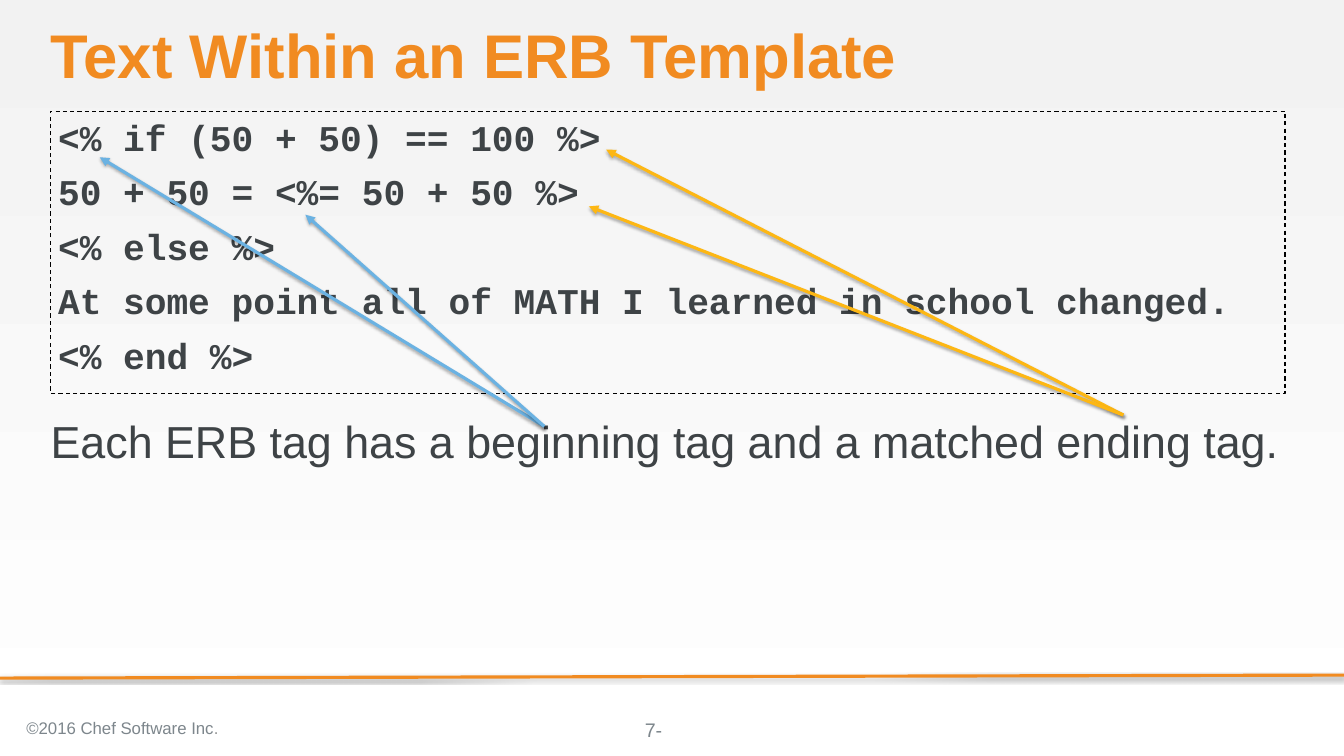
from lxml.etree import SubElement
from pptx import Presentation
from pptx.dml.color import RGBColor
from pptx.enum.dml import MSO_LINE
from pptx.enum.shapes import MSO_CONNECTOR, MSO_SHAPE
from pptx.enum.text import MSO_ANCHOR as Anchor, PP_ALIGN as Align
from pptx.oxml.ns import qn
from pptx.util import Emu, Inches, Pt

WIDTH, HEIGHT = 17.78, 10
MARGIN, CONTENT_WIDTH, BODY_HEIGHT = 0.67, 16.33, 3.73
ORANGE, BLUE, YELLOW = "F18B21", "6BB2E2", "FDB714"
INK, GREY, LIGHT_GREY = "3E4346", "7D868C", "929494"
CODE = [
    "<% if (50 + 50) == 100 %>",
    "50 + 50 = <%= 50 + 50 %>",
    "<% else %>",
    "At some point all of MATH I learned in school changed.",
    "<% end %>",
]


def color(value):
    return RGBColor.from_string(value)


def inches(values):
    return [Inches(value) for value in values]


def write(shape, lines, size, font="Arial", bold=False, inset=0.0,
          anchor=Anchor.TOP, gap=0.0):
    """Fill a shape with lines, each a list of (text, colour) runs."""
    frame = shape.text_frame
    frame.word_wrap = True
    frame.vertical_anchor = anchor
    frame.margin_left = frame.margin_right = Inches(inset)
    frame.margin_top = frame.margin_bottom = Inches(inset / 2)
    for index, runs in enumerate(lines):
        para = frame.add_paragraph() if index else frame.paragraphs[0]
        para.alignment = Align.LEFT
        para.space_before = Pt(gap if index else 0)
        for text, ink in runs:
            span = para.add_run()
            span.text = text
            span.font.name, span.font.size, span.font.bold = font, Pt(size), bold
            span.font.color.rgb = color(ink)
    return frame


def add_line(page, start, end, ink, arrow=False):
    """Draw a softly shadowed line, with an optional arrowhead at its end."""
    line = page.shapes.add_connector(MSO_CONNECTOR.STRAIGHT, *inches(start + end))
    line.line.color.rgb = color(ink)
    line.line.width = Pt(3)
    properties = line._element.spPr
    if arrow:
        SubElement(properties.find(qn("a:ln")), qn("a:tailEnd"), type="triangle")
    effects = SubElement(properties, qn("a:effectLst"))
    shadow = SubElement(effects, qn("a:outerShdw"), blurRad=str(Pt(3.1)),
                        dist=str(Pt(1.8)), dir="5400000", rotWithShape="0")
    black = SubElement(shadow, qn("a:srgbClr"), val="000000")
    SubElement(black, qn("a:alpha"), val="35000")


def paint_background(page):
    fill = page.background.fill
    fill.gradient()
    fill.gradient_angle = 270
    for stop, position, shade in zip(fill.gradient_stops, (0, 1), ("F2F2F2", "FFFFFF")):
        stop.position = position
        stop.color.rgb = color(shade)


def add_title(page, box):
    title = page.shapes.title
    title.left, title.top, title.width, title.height = inches(box)
    frame = write(title, [[("Text Within an ERB Template", ORANGE)]], 58.7, bold=True)
    frame.paragraphs[0].line_spacing = 0.9


def add_code(page, box):
    panel = page.shapes.add_shape(MSO_SHAPE.RECTANGLE, *inches(box))
    panel.shadow.inherit = False
    panel.fill.background()
    panel.line.color.rgb = color("000000")
    panel.line.width = Pt(1)
    panel.line.dash_style = MSO_LINE.DASH
    write(panel, [[(line, INK)] for line in CODE], 34.5, "Courier New",
          bold=True, inset=0.1, gap=10.6)


def add_explanation(page, box):
    sentence = "Each ERB tag has a beginning tag and a matched ending tag."
    write(page.shapes.add_textbox(*inches(box)), [[(sentence, INK)]], 42.7)


def add_tag_arrows(page, box):
    """Point from the explanation to the opening and closing tags in the code box."""
    left, top = box[:2]
    arrows = [
        (BLUE, (6.53, 4.17), [(0.65, 0.61), (3.37, 1.37)]),
        (YELLOW, (14.19, 4.02), [(7.35, 0.51), (7.12, 1.26)]),
    ]
    for ink, (x, y), targets in arrows:
        for target_x, target_y in targets:
            add_line(page, (left + x, top + y), (left + target_x, top + target_y),
                     ink, arrow=True)


def add_footer(page, top):
    add_line(page, (WIDTH, top), (0, top + 0.04), ORANGE)
    number = page.shapes.add_textbox(*inches((8.49, top + 0.56, 0.8, 0.31)))
    frame = write(number, [[("7-", GREY)]], 18.7)
    frame.paragraphs[0]._p.get_or_add_pPr().set("marL", str(Emu(Inches(0.04))))
    notice = page.shapes.add_textbox(*inches((0.25, top + 0.42, 6.21, 0.56)))
    write(notice, [[("©2016 Chef Software Inc", GREY), (".", LIGHT_GREY)]], 16,
          inset=0.1, anchor=Anchor.MIDDLE)


def main():
    deck = Presentation()
    deck.slide_width, deck.slide_height = inches((WIDTH, HEIGHT))
    page = deck.slides.add_slide(deck.slide_layouts[5])
    code_box = (MARGIN, 1.47, CONTENT_WIDTH, BODY_HEIGHT)
    paint_background(page)
    add_footer(page, 8.93)
    add_title(page, (MARGIN, 0.33, CONTENT_WIDTH, 0.91))
    add_code(page, code_box)
    add_explanation(page, (MARGIN, 5.47, CONTENT_WIDTH, BODY_HEIGHT))
    add_tag_arrows(page, code_box)
    deck.save("out.pptx")


if __name__ == "__main__":
    main()
